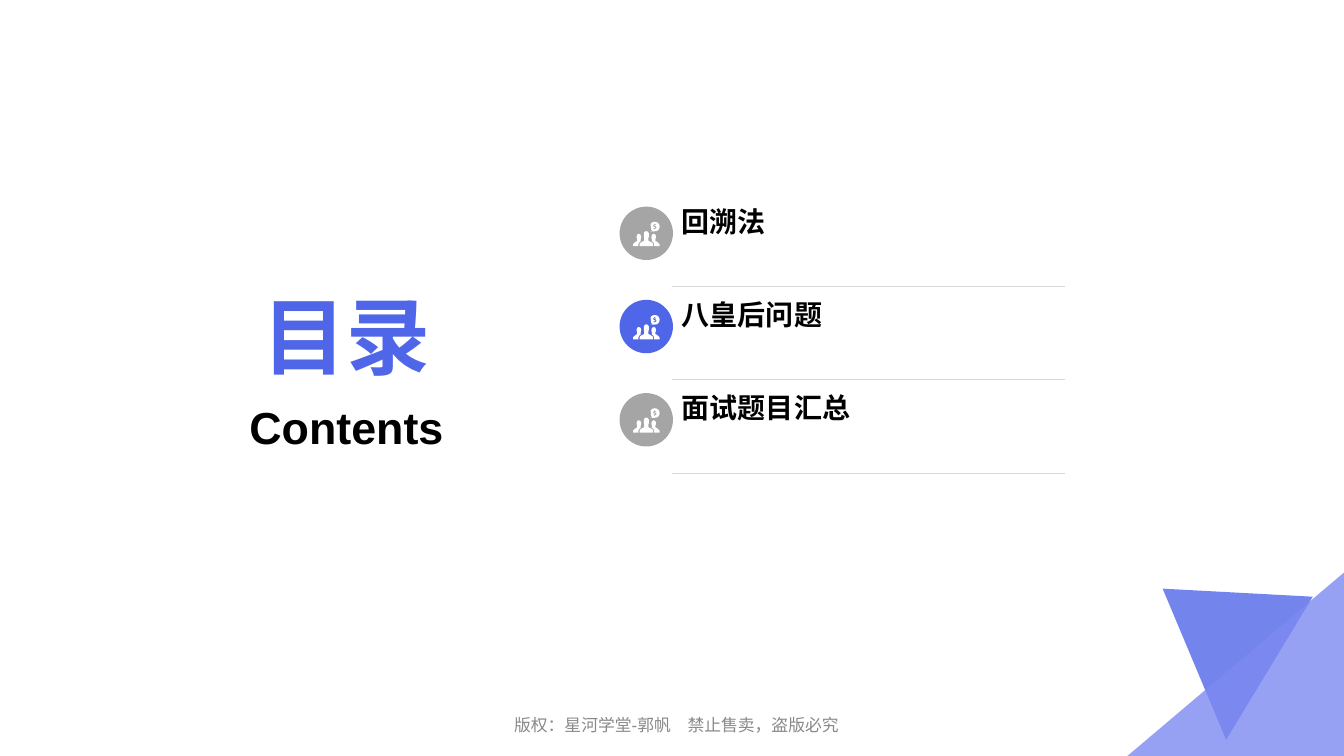
from math import cos, pi, sin

from lxml import etree
from pptx import Presentation
from pptx.dml.color import RGBColor
from pptx.enum.shapes import MSO_CONNECTOR, MSO_SHAPE
from pptx.enum.text import MSO_ANCHOR, MSO_AUTO_SIZE, PP_ALIGN
from pptx.oxml.ns import qn
from pptx.util import Inches, Pt

LEFT, CENTER = PP_ALIGN.LEFT, PP_ALIGN.CENTER
TOP, MIDDLE, BOTTOM = MSO_ANCHOR.TOP, MSO_ANCHOR.MIDDLE, MSO_ANCHOR.BOTTOM
OVAL = MSO_SHAPE.OVAL
STRAIGHT = MSO_CONNECTOR.STRAIGHT
TITLE_ONLY = 5

FONT = "Arial"
COLORS = {
    "blue": "5066E9",
    "lilac": "7E8AF1",
    "gray": "A5A5A5",
    "rule": "D8D8D8",
    "footer": "898989",
    "black": "000000",
    "white": "FFFFFF",
}
CHAPTERS = [("回溯法", "gray"), ("八皇后问题", "blue"), ("面试题目汇总", "gray")]
FIRST_TOP, PITCH = 2.05, 0.925

# Icon outlines in thousandths of an inch from the icon's top left corner
ICON_WIDTH = 270
SIDE_PERSON = [
    (210, 120), (223, 125), (230, 140), (230, 160), (225, 172), (225, 190),
    (240, 198), (262, 217), (267, 225), (267, 243), (213, 243), (213, 222),
    (207, 207), (190, 193), (190, 172), (186, 160), (187, 140), (195, 125),
]
MIDDLE_PERSON = [
    (135, 93), (150, 98), (160, 115), (160, 148), (156, 160), (156, 188),
    (180, 201), (198, 213), (202, 222), (202, 243), (68, 243), (68, 222),
    (72, 213), (90, 201), (114, 188), (114, 160), (110, 148), (110, 115), (120, 98),
]
DOLLAR = [
    (216, 20), (223, 20), (223, 25), (234, 29), (231, 36), (219, 33), (215, 38),
    (233, 47), (236, 57), (231, 67), (223, 71), (223, 77), (216, 77), (216, 72),
    (203, 68), (206, 60), (220, 63), (224, 56), (208, 49), (202, 40), (207, 29),
    (216, 25),
]


def color(name):
    return RGBColor.from_string(COLORS[name])


def paint(shape, fill, opacity=100):
    """Give a shape a flat fill without line or shadow; opacity is a percentage."""
    shape.shadow.inherit = False
    shape.line.fill.background()
    shape.fill.solid()
    shape.fill.fore_color.rgb = color(fill)
    if opacity < 100:
        tint = shape.fill._xPr.find(qn("a:solidFill"))[0]
        etree.SubElement(tint, qn("a:alpha"), val=str(opacity * 1000))


def add_outline(page, contours, fill, left=0, top=0, opacity=100):
    """Draw closed contours, in thousandths of an inch, as one shape."""
    first, *others = contours
    builder = page.shapes.build_freeform(*first[0], scale=Inches(1) / 1000)
    builder.add_line_segments(first[1:])
    for contour in others:
        builder.move_to(*contour[0])
        builder.add_line_segments(contour[1:])
    paint(builder.convert_to_shape(Inches(left), Inches(top)), fill, opacity)


def fill_text(box, text, size, tone, align, anchor, bold=True, bottom=0.05):
    frame = box.text_frame
    frame.text = text
    frame.word_wrap = True
    frame.auto_size = MSO_AUTO_SIZE.NONE
    frame.vertical_anchor = anchor
    frame.margin_bottom = Inches(bottom)
    para = frame.paragraphs[0]
    para.alignment = align
    span = para.runs[0]
    span.font.name = FONT
    span.font.size = Pt(size)
    span.font.bold = bold
    span.font.color.rgb = color(tone)
    return para


def add_text(page, left, top, width, height, *content, **options):
    box = page.shapes.add_textbox(Inches(left), Inches(top), Inches(width), Inches(height))
    return fill_text(box, *content, **options)


def add_rule(page, left, right, top):
    rule = page.shapes.add_connector(
        STRAIGHT, Inches(left), Inches(top), Inches(right), Inches(top))
    rule.line.color.rgb = color("rule")
    rule.line.width = Pt(0.25)
    etree.SubElement(rule._element.spPr, qn("a:effectLst"))


def people_icon():
    """Return three people and a speech bubble with a dollar sign cut out."""
    mirrored = [(ICON_WIDTH - x, y) for x, y in SIDE_PERSON]
    angles = [pi * step / 12 for step in range(-10, 10)]
    bubble = [(219 + 48 * cos(angle), 48 + 48 * sin(angle)) for angle in angles]
    bubble.insert(16, (172, 94))
    return [mirrored, MIDDLE_PERSON, SIDE_PERSON, bubble, DOLLAR]


def add_chapter(page, top, name, fill):
    disc = page.shapes.add_shape(
        OVAL, Inches(6.15), Inches(top), Inches(0.53), Inches(0.53))
    paint(disc, fill)
    add_outline(page, people_icon(), "white", 6.28, top + 0.15)
    add_text(page, 6.67, top - 0.09, 3.91, 0.42,
             name, 20, "black", LEFT, MIDDLE, bottom=0)
    add_rule(page, 6.67, 10.57, top + 0.79)


def add_title(page):
    title = page.shapes.title
    title.left, title.top = Inches(2.09), Inches(2.62)
    title.width, title.height = Inches(2.7), Inches(1.25)
    fill_text(title, "目录", 60, "blue", CENTER, BOTTOM)


def main():
    deck = Presentation()
    deck.slide_width, deck.slide_height = Inches(13.34), Inches(7.5)
    page = deck.slides.add_slide(deck.slide_layouts[TITLE_ONLY])

    footer = add_text(page, 4.55, 7, 4.33, 0.35, "版权：星河学堂-郭帆　禁止售卖，盗版必究",
                      12, "footer", CENTER, MIDDLE, bold=False)
    footer.line_spacing = 1.2

    add_outline(page, [[(13030, 5920), (12170, 7340), (11540, 5840)]], "blue", opacity=80)
    add_outline(page, [[(13340, 7500), (11190, 7500), (13340, 5680)]], "lilac", opacity=80)

    for index, (name, fill) in enumerate(CHAPTERS):
        add_chapter(page, FIRST_TOP + index * PITCH, name, fill)

    add_title(page)
    add_text(page, 2.09, 3.92, 2.7, 0.55, "Contents", 32, "black", CENTER, TOP)
    deck.save("out.pptx")


if __name__ == "__main__":
    main()
